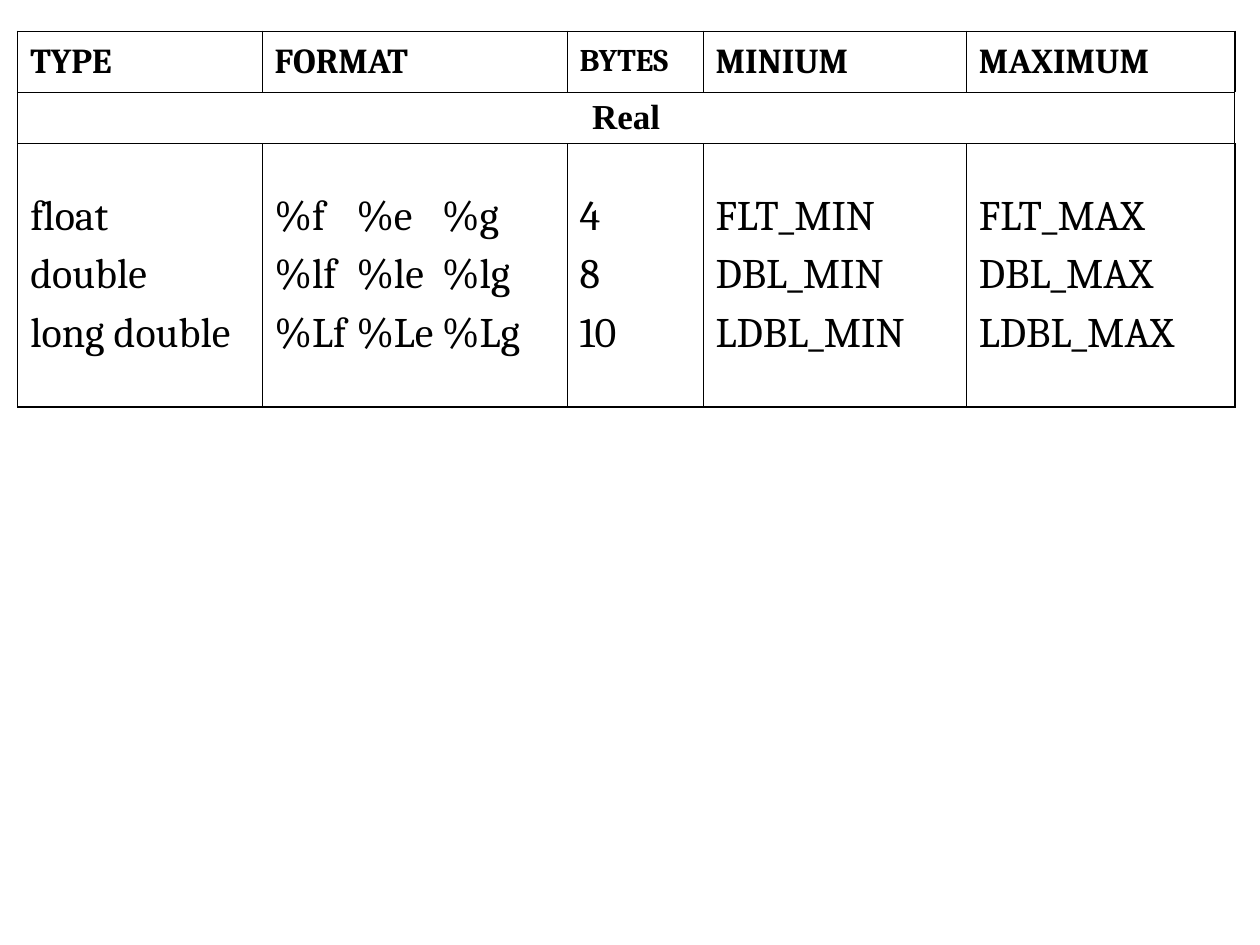
from dataclasses import dataclass

from lxml import etree
from pptx import Presentation
from pptx.dml.color import RGBColor
from pptx.enum.text import MSO_ANCHOR, PP_ALIGN
from pptx.oxml.ns import qn
from pptx.util import Inches, Pt

CENTER = PP_ALIGN.CENTER
JUSTIFY = PP_ALIGN.JUSTIFY
MIDDLE = MSO_ANCHOR.MIDDLE
BLACK = "000000"
COLUMN_WIDTHS = (1.94, 2.42, 1.08, 2.09, 2.13)
ROW_HEIGHTS = (0.48, 0.41, 2.09)
OUTER_LINE = 1.08
INNER_LINE = 0.45


@dataclass(frozen=True)
class TypeColumn:
    heading: str
    entries: tuple[str, ...]
    heading_size: int = 20
    tab_stops: tuple[float, ...] = ()


TYPE_COLUMNS = (
    TypeColumn("TYPE", ("float", "double", "long double")),
    TypeColumn(
        "FORMAT",
        ("%f\t%e\t%g", "%lf\t%le\t%lg", "%Lf\t%Le\t%Lg"),
        tab_stops=(0.65, 1.33),
    ),
    TypeColumn("BYTES", ("4", "8", "10"), heading_size=18),
    TypeColumn("MINIUM", ("FLT_MIN", "DBL_MIN", "LDBL_MIN")),
    TypeColumn("MAXIMUM", ("FLT_MAX", "DBL_MAX", "LDBL_MAX")),
)


def rgb(color: str) -> RGBColor:
    return RGBColor.from_string(color)


def write(cell, *lines: str, size: int, bold: bool = False, font: str = "Cambria",
          align=JUSTIFY, tab_stops: tuple[float, ...] = ()) -> None:
    cell.vertical_anchor = MIDDLE
    frame = cell.text_frame
    for index, line in enumerate(lines):
        paragraph = frame.add_paragraph() if index else frame.paragraphs[0]
        paragraph.alignment = align
        if index:
            paragraph.space_before = Pt(6)
        if tab_stops:
            properties = paragraph._p.get_or_add_pPr()
            tab_list = etree.SubElement(properties, qn("a:tabLst"))
            for stop in tab_stops:
                etree.SubElement(tab_list, qn("a:tab"), pos=str(Inches(stop)), algn="l")
        run = paragraph.add_run()
        run.text = line
        run.font.size = Pt(size)
        run.font.bold = bold
        run.font.name = font
        run.font.color.rgb = rgb(BLACK)


def draw_borders(cell, row: int, column: int) -> None:
    on_edge = {
        "L": column == 0,
        "R": column == len(COLUMN_WIDTHS) - 1,
        "T": row == 0,
        "B": row == len(ROW_HEIGHTS) - 1,
    }
    properties = cell._tc.get_or_add_tcPr()
    for side, outer in on_edge.items():
        width = Pt(OUTER_LINE if outer else INNER_LINE)
        line = etree.SubElement(properties, qn(f"a:ln{side}"), w=str(width))
        fill = etree.SubElement(line, qn("a:solidFill"))
        etree.SubElement(fill, qn("a:srgbClr"), val=BLACK)
    cell.fill.background()


def add_type_table(slide) -> None:
    table = slide.shapes.add_table(
        len(ROW_HEIGHTS), len(COLUMN_WIDTHS), Inches(0.14), Inches(0.25),
        Inches(sum(COLUMN_WIDTHS)), Inches(sum(ROW_HEIGHTS)),
    ).table
    table.first_row = False
    table.horz_banding = False
    for column, width in zip(table.columns, COLUMN_WIDTHS):
        column.width = Inches(width)
    for row, height in zip(table.rows, ROW_HEIGHTS):
        row.height = Inches(height)
    for row in range(len(ROW_HEIGHTS)):
        for column in range(len(COLUMN_WIDTHS)):
            draw_borders(table.cell(row, column), row, column)

    for index, column in enumerate(TYPE_COLUMNS):
        write(table.cell(0, index), column.heading, size=column.heading_size, bold=True)
        write(table.cell(2, index), *column.entries, size=24, tab_stops=column.tab_stops)

    group = table.cell(1, 0)
    group.merge(table.cell(1, len(COLUMN_WIDTHS) - 1))
    write(group, "Real", size=20, bold=True, font="Times New Roman", align=CENTER)


def main() -> None:
    presentation = Presentation()
    presentation.slide_width = Inches(10)
    presentation.slide_height = Inches(7.5)
    slide = presentation.slides.add_slide(presentation.slide_layouts[6])
    add_type_table(slide)
    presentation.save("out.pptx")


if __name__ == "__main__":
    main()
